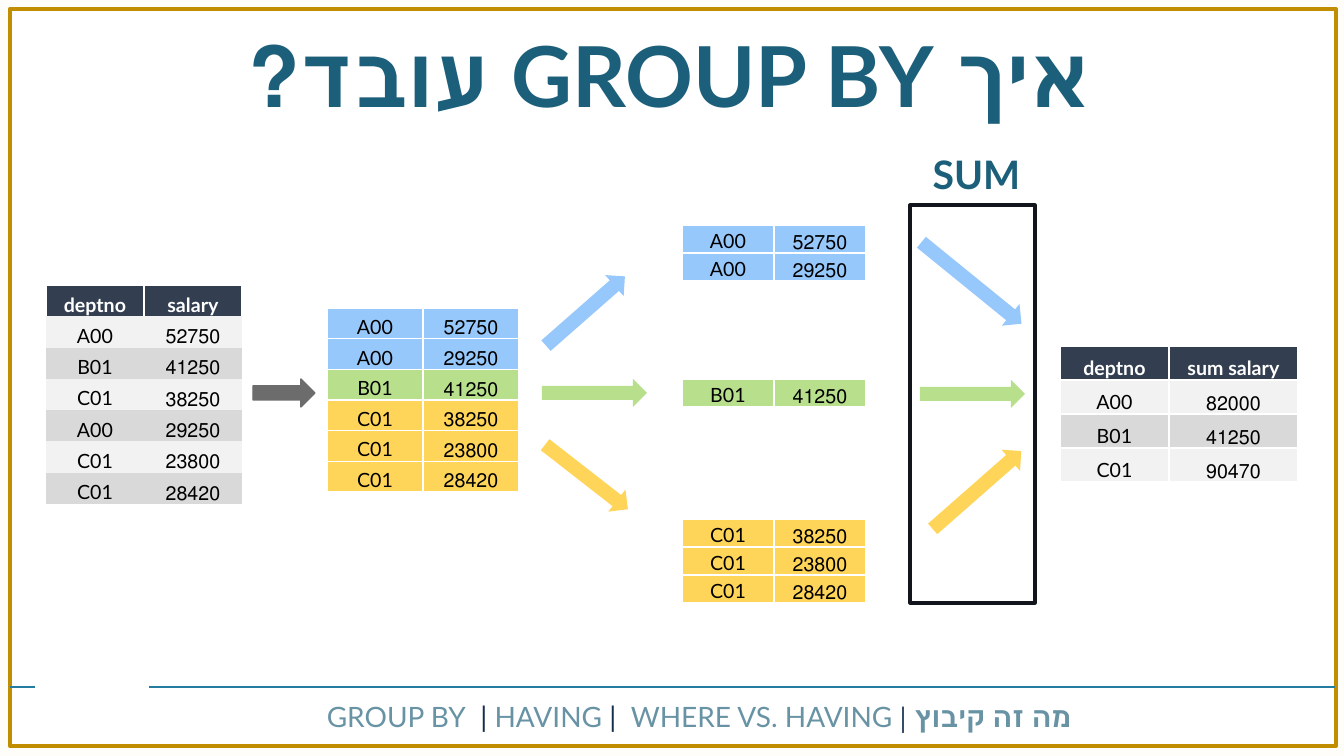
from lxml import etree
from pptx import Presentation, util as u
from pptx.dml.color import RGBColor
from pptx.enum import shapes, text
from pptx.oxml import ns

FONT = "Lato"
COLORS = {
    "page": "FFFDF9", "white": "FFFFFF", "black": "000000", "gold": "C08E00",
    "rule": "247DA0", "title": "1C5F7A", "header": "333F50", "light": "F2F2F2",
    "dark": "D9D9D9", "gray": "6C6C6C", "A00": "97C8FC", "B01": "B8E08C",
    "C01": "FFD559", "outline": "12151B", "footer": "6893A4", "bar": "142D4C",
}

# Content
TITLE = "איך GROUP BY עובד?"
SALARIES = [("A00", "52750"), ("B01", "41250"), ("C01", "38250"),
            ("A00", "29250"), ("C01", "23800"), ("C01", "28420")]
GROUPED = sorted(SALARIES, key=lambda row: row[0])
SUMS = [("A00", "82000"), ("B01", "41250"), ("C01", "90470")]
FOOTER = [("מה זה קיבוץ ", "footer", True), ("| ", "bar", False),
          ("GROUP BY  ", "footer", False), ("| ", "bar", False),
          ("HAVING ", "footer", False), ("|  ", "bar", False),
          ("WHERE VS. HAVING", "footer", False)]

# Places in px: left, top, column widths, height
STRIPED_TABLES = [
    (("deptno", "salary"), SALARIES, (46, 285, (98, 98), 219), False),
    (("deptno", "sum salary"), SUMS, (1060, 346, (109, 129), 136), True),
]
GROUP_PLACES = {"A00": (682, 225, (92, 92), 56),
                "B01": (682, 379, (92, 92), 28),
                "C01": (682, 519, (92, 92), 84)}
# Color, left, top, width, rotation
ARROWS = [("gray", 253, 379, 62, 0),
          ("B01", 542, 379, 105, 0), ("A00", 533, 297, 105, 318.7),
          ("C01", 534, 463, 105, 37.9),
          ("B01", 920, 380, 105, 0), ("A00", 907, 269, 129, 39.1),
          ("C01", 918, 476, 118, 318.7)]
ARROW_HEIGHT = 28


def px(length):
    return round(length * 914400 / 100.8)


def color(name):
    return RGBColor.from_string(COLORS[name])


def add_run(paragraph, words, size, color_name, bold=False):
    run = paragraph.add_run()
    run.text = words
    run.font.name = FONT
    run.font.size = u.Pt(size)
    run.font.bold = bold
    run.font.color.rgb = color(color_name)


def center_rtl(paragraph):
    paragraph.alignment = text.PP_ALIGN.CENTER
    paragraph._p.get_or_add_pPr().set("rtl", "1")


def fill_text(shape, runs, size, anchor):
    frame = shape.text_frame
    frame.word_wrap = True
    frame.auto_size = text.MSO_AUTO_SIZE.NONE
    frame.vertical_anchor = anchor
    paragraph = frame.paragraphs[0]
    center_rtl(paragraph)
    paragraph.line_spacing = 0.9
    paragraph.space_before = u.Pt(10)
    for words, color_name, bold in runs:
        add_run(paragraph, words, size, color_name, bold)


def add_shape(slide, kind, box, fill=None, line=None, width=1):
    shape = slide.shapes.add_shape(kind, *map(px, box))
    shape.shadow.inherit = False
    if fill:
        shape.fill.solid()
        shape.fill.fore_color.rgb = color(fill)
    else:
        shape.fill.background()
    if line:
        shape.line.color.rgb = color(line)
        shape.line.width = u.Pt(width)
    else:
        shape.line.fill.background()
    return shape


def set_borders(cell, sides):
    properties = cell._tc.get_or_add_tcPr()
    for side in "LRTB":
        border = etree.SubElement(properties, ns.qn("a:ln" + side), w="12700")
        if side in sides:
            fill = etree.SubElement(border, ns.qn("a:solidFill"))
            etree.SubElement(fill, ns.qn("a:srgbClr"), val=COLORS["white"])
        else:
            etree.SubElement(border, ns.qn("a:noFill"))


def add_table(slide, rows, fills, place, header=False, grid=True):
    left, top, widths, height = place
    table = slide.shapes.add_table(
        len(rows), len(widths), px(left), px(top), px(sum(widths)), px(height)).table
    table.first_row = table.horz_banding = False
    for column, width in zip(table.columns, widths):
        column.width = px(width)
    for r, (row, fill) in enumerate(zip(rows, fills)):
        table.rows[r].height = px(height / len(rows))
        is_header = header and r == 0
        for c, words in enumerate(row):
            cell = table.cell(r, c)
            cell.margin_left = cell.margin_right = cell.margin_top = px(1)
            cell.margin_bottom = 0
            cell.vertical_anchor = text.MSO_ANCHOR.BOTTOM
            set_borders(cell, "LRTB" if grid else "LRT" if is_header else "")
            cell.fill.solid()
            cell.fill.fore_color.rgb = color(fill)
            paragraph = cell.text_frame.paragraphs[0]
            center_rtl(paragraph)
            add_run(paragraph, words, 14, "white" if is_header else "black", is_header)


def main():
    presentation = Presentation()
    presentation.slide_width, presentation.slide_height = px(1344), px(756)
    slide = presentation.slides.add_slide(presentation.slide_layouts[5])
    slide.background.fill.solid()
    slide.background.fill.fore_color.rgb = color("page")
    kinds = shapes.MSO_SHAPE

    # Frame behind the title, footer rule with a round gap
    title = slide.shapes.title
    frame = add_shape(slide, kinds.RECTANGLE, (10, 9, 1326, 737), "white", "gold", 3)
    title._element.addprevious(frame._element)
    rule = slide.shapes.add_connector(
        shapes.MSO_CONNECTOR.STRAIGHT, px(10), px(687), px(1335), px(687))
    rule.line.color.rgb = color("rule")
    rule.line.width = u.Pt(1.5)
    etree.SubElement(rule._element.spPr, ns.qn("a:effectLst"))
    add_shape(slide, kinds.OVAL, (35, 626, 114, 114), "white")

    # Title
    title.left, title.top, title.width, title.height = map(px, (90, 30, 1159, 91))
    fill_text(title, [(TITLE, "title", True)], 60, text.MSO_ANCHOR.TOP)

    # Tables: source and result are striped, groups take their own color
    for header, rows, place, grid in STRIPED_TABLES:
        stripes = [("light", "dark")[i % 2] for i in range(len(rows))]
        add_table(slide, [header] + rows, ["header"] + stripes, place, True, grid)
    add_table(slide, GROUPED, [row[0] for row in GROUPED], (327, 308, (96, 96), 184))
    for group, place in GROUP_PLACES.items():
        rows = [row for row in GROUPED if row[0] == group]
        add_table(slide, rows, [group] * len(rows), place)

    # Arrows
    for name, left, top, width, rotation in ARROWS:
        arrow = add_shape(slide, kinds.RIGHT_ARROW, (left, top, width, ARROW_HEIGHT),
                          name, "gray" if name == "gray" else None)
        arrow.rotation = rotation

    # SUM step and footer
    add_shape(slide, kinds.RECTANGLE, (910, 205, 125, 398), None, "outline", 2.25)
    for box, runs, size, anchor in [
            ((914, 151, 125, 45), [("SUM", "title", True)], 28, text.MSO_ANCHOR.TOP),
            ((149, 698, 1100, 40), FOOTER, 20, text.MSO_ANCHOR.MIDDLE)]:
        fill_text(slide.shapes.add_textbox(*map(px, box)), runs, size, anchor)

    presentation.save("out.pptx")


if __name__ == "__main__":
    main()
